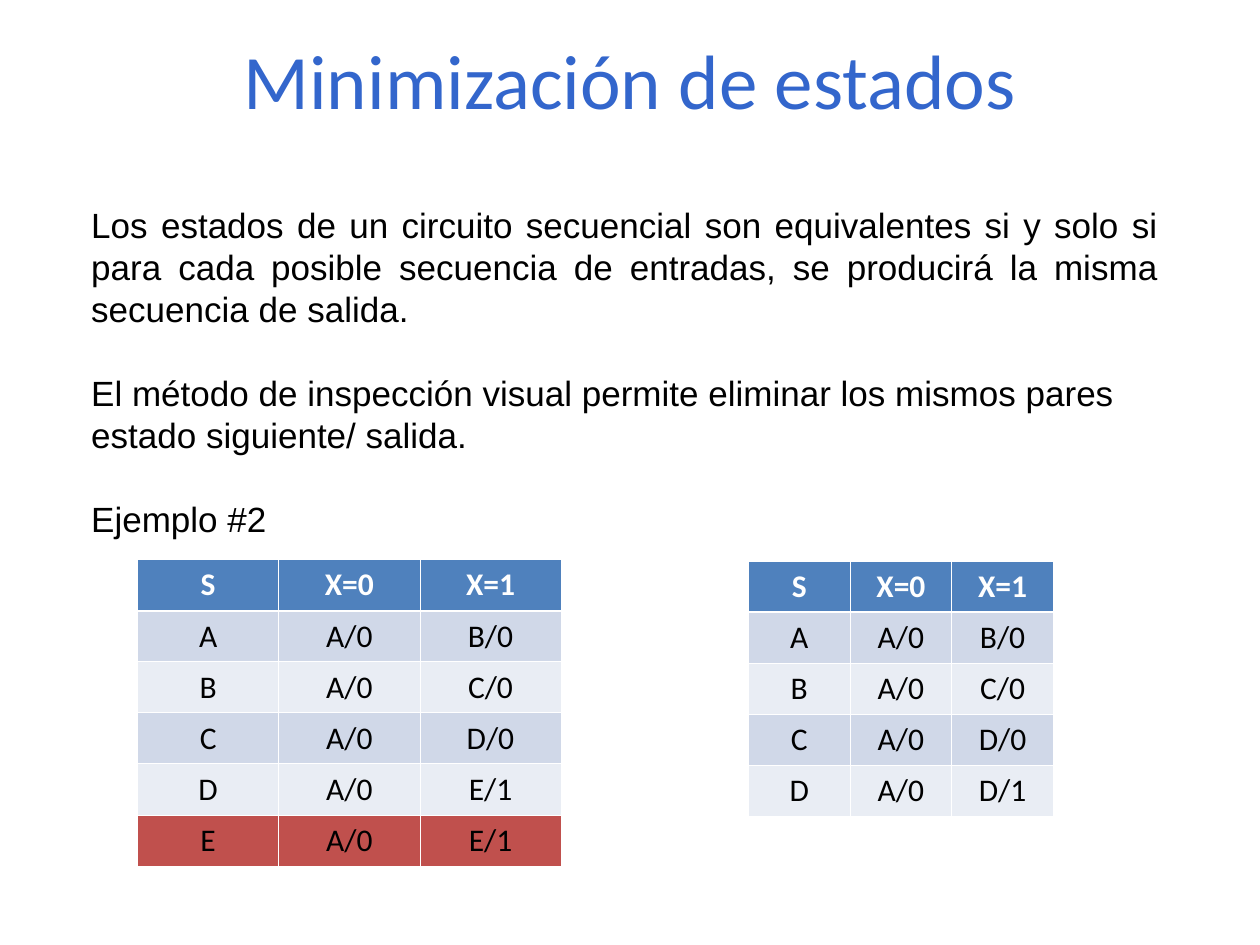
from lxml.etree import SubElement
from pptx import Presentation
from pptx.dml.color import RGBColor
from pptx.enum.text import MSO_ANCHOR as Anchor, PP_ALIGN as Align
from pptx.oxml.ns import qn
from pptx.util import Pt

TITLE = "Minimización de estados"
BODY = [
    ("Los estados de un circuito secuencial son equivalentes si y solo si para cada "
     "posible secuencia de entradas, se producirá la misma secuencia de salida.", 0),
    ("El método de inspección visual permite eliminar los mismos pares ", 24),
    ("estado siguiente/ salida.", 0),
    ("Ejemplo #2", 24),
]
HEADER = ("S", "X=0", "X=1")
SHARED = [("A", "A/0", "B/0"), ("B", "A/0", "C/0"), ("C", "A/0", "D/0")]
TABLES = [
    {"left": 78.6, "top": 319.8, "col_width": 80.7,
     "rows": [HEADER, *SHARED, ("D", "A/0", "E/1"), ("E", "A/0", "E/1")]},
    {"left": 427.7, "top": 320.6, "col_width": 58.1,
     "rows": [HEADER, *SHARED, ("D", "A/0", "D/1")]},
]
REMOVED_STATE = "E"
ROW_HEIGHT = 29.17
HEADER_FILL, REMOVED_FILL, BANDS = "4F81BD", "C0504D", ("E9EDF4", "D0D8E8")
THIN, THICK = 0.45, 1.47
TITLE_FONT = {"name": "Calibri", "size": Pt(44)}
BODY_FONT = {"name": "Arial", "size": Pt(20)}
CELL_FONT = {"name": "Calibri", "size": Pt(18)}


def rgb(value):
    """Turn a hex string into a colour."""
    return RGBColor.from_string(value)


def write(p, text, align, font, color):
    """Put one formatted run in a paragraph."""
    p.alignment = align
    r = p.add_run()
    r.text = text
    for name, value in font.items():
        setattr(r.font, name, value)
    r.font.color.rgb = rgb(color)


def add_text(s, box, anchor=Anchor.TOP):
    """Add a wrapping text box and return its text frame."""
    tf = s.shapes.add_textbox(*map(Pt, box)).text_frame
    tf.word_wrap = True
    tf.vertical_anchor = anchor
    return tf


def set_borders(cell, row):
    """Draw white cell borders, thicker under the header row."""
    widths = {"L": THIN, "R": THIN, "T": THICK if row == 1 else THIN,
              "B": THICK if row == 0 else THIN}
    tc_pr = cell._tc.get_or_add_tcPr()
    for side, width in widths.items():
        line = SubElement(tc_pr, qn(f"a:ln{side}"), w=str(int(Pt(width))))
        SubElement(SubElement(line, qn("a:solidFill")), qn("a:srgbClr"), val="FFFFFF")


def row_fill(row, state):
    """Choose the fill of a table row."""
    if row == 0:
        return HEADER_FILL
    return REMOVED_FILL if state == REMOVED_STATE else BANDS[row % 2]


def add_state_table(s, left, top, col_width, rows):
    """Add a state table with a header and banded rows."""
    n_rows, n_cols = len(rows), len(HEADER)
    size = (col_width * n_cols, ROW_HEIGHT * n_rows)
    table = s.shapes.add_table(n_rows, n_cols, *map(Pt, (left, top, *size))).table
    for column in table.columns:
        column.width = Pt(col_width)
    for i, values in enumerate(rows):
        table.rows[i].height = Pt(ROW_HEIGHT)
        for j, text in enumerate(values):
            cell = table.cell(i, j)
            set_borders(cell, i)
            cell.fill.solid()
            cell.fill.fore_color.rgb = rgb(row_fill(i, values[0]))
            write(cell.text_frame.paragraphs[0], text, Align.CENTER,
                  {**CELL_FONT, "bold": i == 0}, "000000" if i else "FFFFFF")


def main():
    """Build the slide and save it."""
    prs = Presentation()
    prs.slide_width, prs.slide_height = Pt(720), Pt(540)
    s = prs.slides.add_slide(prs.slide_layouts[6])
    tf = add_text(s, (54, 0, 612, 90), Anchor.MIDDLE)
    write(tf.paragraphs[0], TITLE, Align.CENTER, TITLE_FONT, "3366CC")
    tf = add_text(s, (45, 112.5, 624, 199.5))
    for i, (text, gap) in enumerate(BODY):
        p = tf.add_paragraph() if i else tf.paragraphs[0]
        p.line_spacing, p.space_before = Pt(24), Pt(gap)
        write(p, text, Align.JUSTIFY, BODY_FONT, "000000")
    for table in TABLES:
        add_state_table(s, **table)
    prs.save("out.pptx")


if __name__ == "__main__":
    main()
